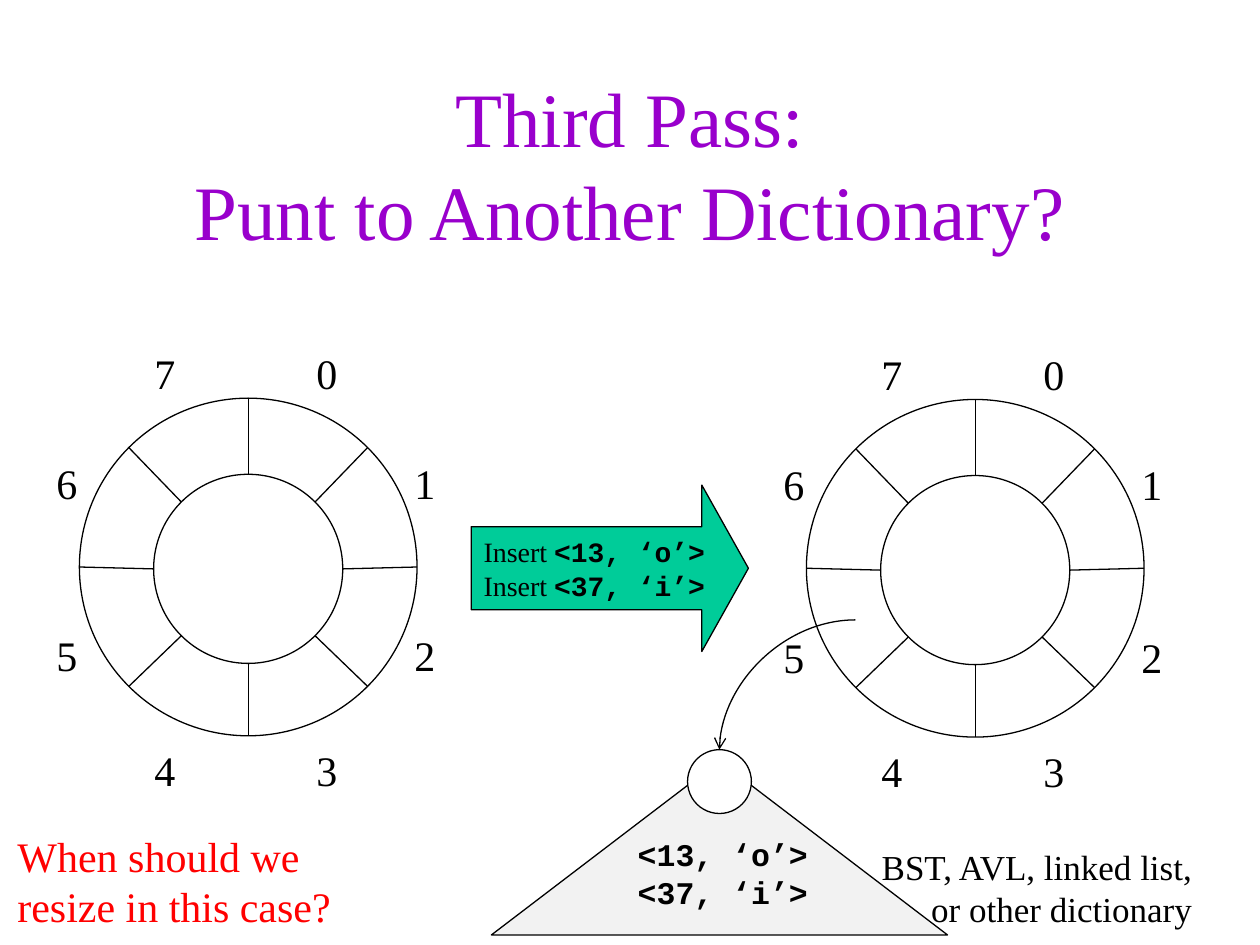
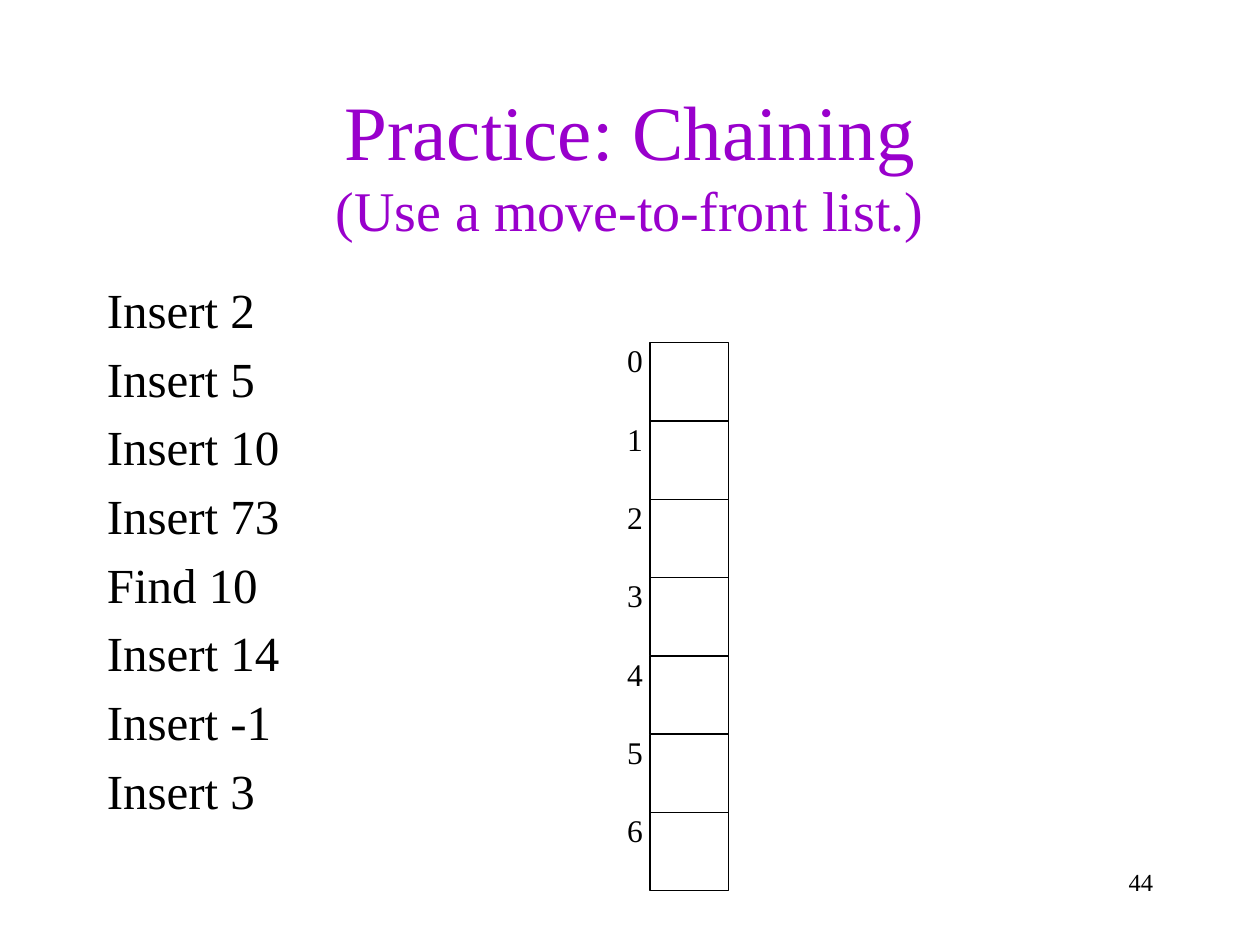
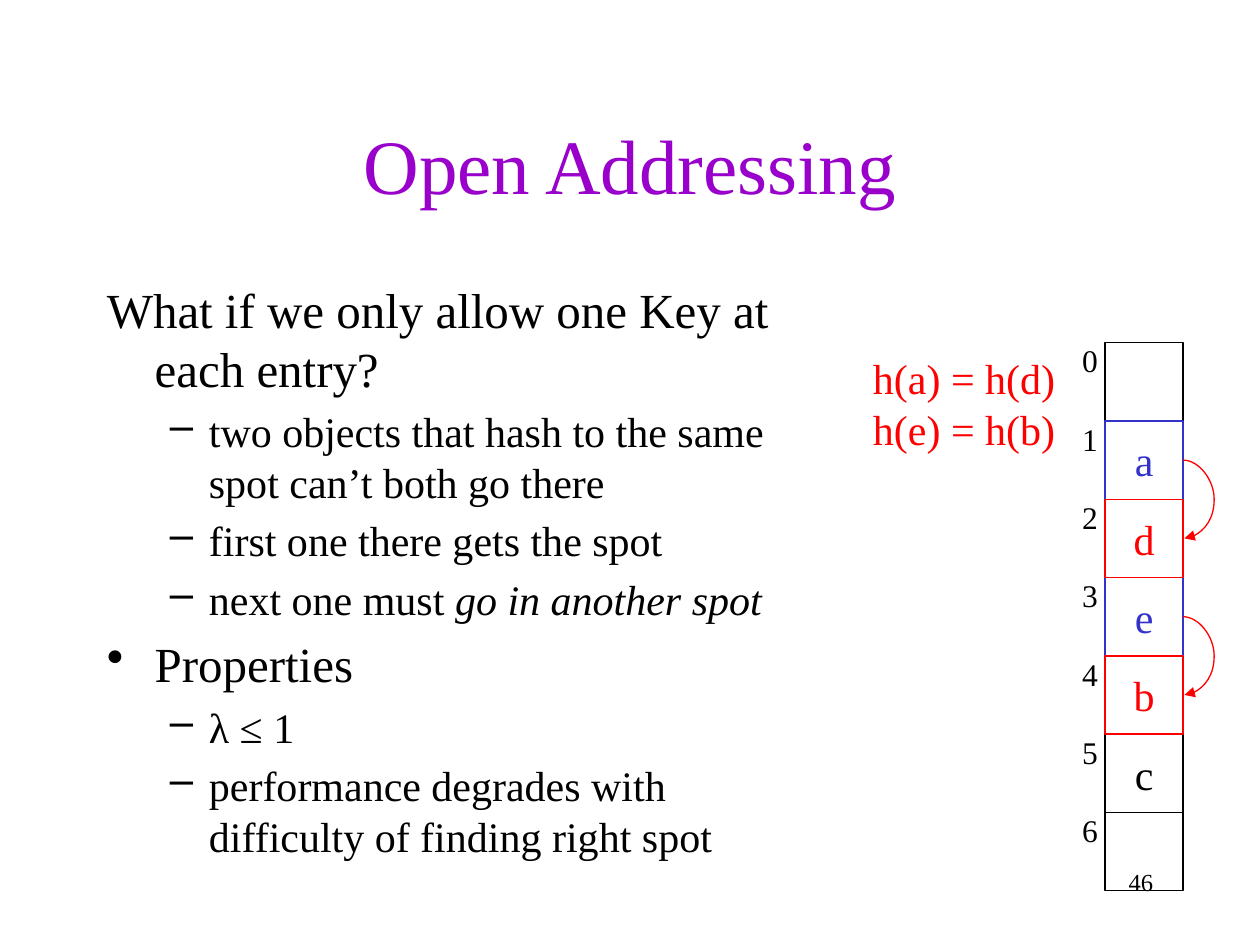
from functools import partial
from math import cos, pi, sin

from lxml import etree
from pptx import Presentation
from pptx.dml.color import RGBColor
from pptx.enum.shapes import MSO_CONNECTOR as LINK, MSO_SHAPE as SHAPE
from pptx.enum.text import MSO_ANCHOR as ANCHOR, MSO_AUTO_SIZE as FIT, PP_ALIGN as ALIGN
from pptx.oxml.ns import qn
from pptx.util import Inches, Pt

SLIDE_W, SLIDE_H = Inches(10), Inches(7.5)
COLUMN, ROW = SLIDE_W / 100, SLIDE_H / 75

PURPLE = RGBColor(0x99, 0x00, 0xCC)
BLACK = RGBColor(0x00, 0x00, 0x00)
WHITE = RGBColor(0xFF, 0xFF, 0xFF)
RED = RGBColor(0xFF, 0x00, 0x00)
BLUE = RGBColor(0x33, 0x33, 0xCC)
GREEN = RGBColor(0x00, 0xCC, 0x99)
GREY = RGBColor(0xF2, 0xF2, 0xF2)

SERIF, MONO = "Times New Roman", "Courier New"
CODE = {"name": MONO, "bold": True}
LABEL = {"word_wrap": False, "auto_size": FIT.SHAPE_TO_FIT_TEXT}
CENTRED = {"vertical_anchor": ANCHOR.MIDDLE, "word_wrap": False}
LEVELS = [
    {"size": 28, "margin": 0.38, "hang": 0.38},
    {"size": 24, "margin": 0.81, "hang": 0.31},
]


def apply(target, formats):
    """Set every format value on the target."""
    for name, value in formats.items():
        setattr(target, name, value)


def place(x, y, w, h):
    """Turn columns and rows into slide lengths."""
    return round(x * COLUMN), round(y * ROW), round(w * COLUMN), round(h * ROW)


def add_runs(paragraph, runs, size, color):
    """Add (text, font formats) runs, breaking lines at newlines."""
    for text, formats in runs:
        for number, line in enumerate(text.split("\n")):
            if number:
                paragraph.add_line_break()
            if line:
                run = paragraph.add_run()
                run.text = line
                apply(run.font, {"name": SERIF, "size": Pt(size), **formats})
                run.font.color.rgb = color


def write(frame, runs, size, color=BLACK, align=ALIGN.LEFT, frame_formats=None):
    """Fill the first paragraph of a frame."""
    apply(frame, {"word_wrap": True, **(frame_formats or {})})
    frame.paragraphs[0].alignment = align
    add_runs(frame.paragraphs[0], runs, size, color)


def add_text(shapes, box, runs, size, color=BLACK, align=ALIGN.LEFT, frame_formats=None):
    """Add a text box."""
    frame = shapes.add_textbox(*place(*box)).text_frame
    write(frame, runs, size, color, align, frame_formats)
    return frame


def add_outlined(shapes, kind, box, fill=None, line=BLACK):
    """Add a thinly outlined preset shape."""
    shape = shapes.add_shape(kind, *place(*box))
    shape.shadow.inherit = False
    if fill is None:
        shape.fill.background()
    else:
        shape.fill.solid()
        shape.fill.fore_color.rgb = fill
    shape.line.color.rgb = line
    shape.line.width = Pt(0.75)
    return shape


def add_link(shapes, kind, start, end, color=BLACK, head=None):
    """Add a thin connector, with an arrowhead if one is named."""
    link = shapes.add_connector(kind, *place(*start, *end))
    link.line.color.rgb = color
    link.line.width = Pt(0.75)
    properties = link.line._get_or_add_ln().getparent()
    etree.SubElement(properties, qn("a:effectLst"))
    if head:
        etree.SubElement(link.line._get_or_add_ln(), qn("a:tailEnd"), type=head)
    return link


def bend(link, preset, **guides):
    """Choose the curve of a connector and its adjustment."""
    geometry = link._element.spPr.find(qn("a:prstGeom"))
    geometry.set("prst", preset)
    adjustments = geometry.find(qn("a:avLst"))
    for name, value in guides.items():
        etree.SubElement(adjustments, qn("a:gd"), name=name, fmla=f"val {value}")


def add_title(slide, runs):
    """Add the slide title."""
    add_text(slide.shapes, (7.5, 6.7, 85, 12.5), runs, 44, PURPLE, ALIGN.CENTER,
             {"vertical_anchor": ANCHOR.MIDDLE})


def add_page_number(slide, number):
    """Add the page number at the bottom right."""
    add_text(slide.shapes, (71.7, 68.3, 20.8, 5), [(str(number), {})], 14, align=ALIGN.RIGHT)


def add_body(slide, items):
    """Add the outline of (level, bullet, runs) items."""
    frame = slide.shapes.add_textbox(*place(7.5, 21.7, 55, 45)).text_frame
    frame.word_wrap = True
    for number, (level, bullet, runs) in enumerate(items):
        paragraph = frame.add_paragraph() if number else frame.paragraphs[0]
        look = LEVELS[level]
        properties = paragraph._p.get_or_add_pPr()
        properties.set("marL", str(Inches(look["margin"])))
        properties.set("indent", str(-Inches(look["hang"])))
        if bullet:
            etree.SubElement(properties, qn("a:buChar"), char=bullet)
        else:
            etree.SubElement(properties, qn("a:buNone"))
        paragraph.space_before = Pt(look["size"] * 0.2 if number else 0)
        add_runs(paragraph, runs, look["size"], BLACK)


def add_ring(slide, box):
    """Draw a circular hash table with eight numbered buckets."""
    left, top, size, _ = box
    shapes = slide.shapes.add_group_shape().shapes
    outer, inner = size / 2, size * 0.28
    center_x, center_y = left + outer, top + outer
    hub_y = center_y + 0.15
    add_outlined(shapes, SHAPE.OVAL, (center_x - inner, hub_y - inner, 2 * inner, 2 * inner))
    add_outlined(shapes, SHAPE.OVAL, box)
    for spoke in range(8):
        across, down = sin(spoke * pi / 4), -cos(spoke * pi / 4)
        add_link(shapes, LINK.STRAIGHT,
                 (center_x + outer * across, center_y + outer * down),
                 (center_x + inner * across, hub_y + inner * down))
    near, far = size * 0.24, size * 0.53
    rows = [-15.4, -6.7, 7, 16.1]
    spots = [*zip([near, far, far, near], rows),
             *zip([-near, -far, -far, -near], reversed(rows))]
    for bucket, (across, down) in enumerate(spots):
        add_text(shapes, (center_x + across - 2, center_y + down - 2.5, 3.7, 5),
                 [(str(bucket), {})], 24, frame_formats=LABEL)


def add_insert_arrow(slide, box):
    """Draw the arrow that carries the insertions."""
    arrow = add_outlined(slide.shapes, SHAPE.RIGHT_ARROW, box, GREEN)
    arrow.adjustments[1] = 0.28
    write(arrow.text_frame,
          [("Insert ", {}), ("<13, ‘o’>\n", CODE), ("Insert ", {}), ("<37, ‘i’>", CODE)],
          16, frame_formats={"vertical_anchor": ANCHOR.MIDDLE})


def add_subtree(slide, box, bucket):
    """Draw the nested dictionary and the pointer from its bucket."""
    left, top, width, height = box
    node = width * 0.14
    add_outlined(slide.shapes, SHAPE.ISOSCELES_TRIANGLE, box, GREY)
    root_left, root_top = left + (width - node) / 2, top - 0.9
    root = add_outlined(slide.shapes, SHAPE.OVAL, (root_left, root_top, node, node), WHITE)
    pointer = add_link(slide.shapes, LINK.CURVE, bucket, (left + width / 2, root_top),
                       head="arrow")
    bend(pointer, "curvedConnector2")
    pointer.end_connect(root, 0)
    add_text(slide.shapes, (left + width * 0.26, top + height * 0.39, 17.9, 7.1),
             [("<13, ‘o’>\n<37, ‘i’>", CODE)], 18, align=ALIGN.CENTER)


def add_slots(slide, box, contents):
    """Draw a numbered column of slots and return them by index."""
    left, top, width, height = box
    pitch = height / len(contents)
    slots = {}
    for index, (key, color) in sorted(enumerate(contents), key=lambda slot: slot[1][1] == RED):
        slot_top = top + index * pitch
        slots[index] = add_outlined(slide.shapes, SHAPE.RECTANGLE,
                                    (left, slot_top, width, pitch), line=color)
        if key:
            write(slots[index].text_frame, [(key, {})], 24, color, ALIGN.CENTER, CENTRED)
        add_text(slide.shapes, (left - 2.8, slot_top - 0.6, 3.3, 4), [(str(index), {})], 18,
                 frame_formats=LABEL)
    return slots


def add_probe(slide, start, end):
    """Draw the curved probe from a taken slot to the next one."""
    probe = add_link(slide.shapes, LINK.CURVE, (0, 0), (1, 1), RED, "triangle")
    probe.begin_connect(start, 3)
    probe.end_connect(end, 3)
    probe.end_x = probe.begin_x + Inches(0.01)
    bend(probe, "curvedConnector3", adj1=2500000)


def build_punt(slide):
    """Build the slide on punting to another dictionary."""
    add_title(slide, [("Third Pass:\nPunt to Another Dictionary?", {})])
    add_ring(slide, (6.3, 31.6, 26.8, 26.8))
    add_insert_arrow(slide, (37.4, 38.5, 22, 13.2))
    add_ring(slide, (64, 31.7, 26.8, 26.8))
    add_subtree(slide, (39, 60.4, 36.2, 13.8), (67.9, 49.2))
    add_text(slide.shapes, (61, 66.6, 34.6, 7.7),
             [("BST, AVL, linked list,\nor other dictionary", {})], 20, align=ALIGN.RIGHT)
    add_text(slide.shapes, (0.4, 65.4, 28.3, 9.1),
             [("When should we resize in this case?", {})], 24, RED)


def build_chaining(slide):
    """Build the chaining exercise."""
    add_title(slide, [("Practice: Chaining\n", {}),
                      ("(Use a move-to-front list.)", {"size": Pt(32)})])
    steps = ["Insert 2", "Insert 5", "Insert 10", "Insert 73",
             "Find 10", "Insert 14", "Insert -1", "Insert 3"]
    add_body(slide, [(0, None, [(step, {})]) for step in steps])
    add_slots(slide, (51.6, 27.2, 6.2, 43.5), [("", BLACK)] * 7)
    add_page_number(slide, 44)


def build_open_addressing(slide):
    """Build the slide on open addressing."""
    add_title(slide, [("Open Addressing", {})])
    add_body(slide, [
        (0, None, [("What if we only allow one Key at each entry?", {})]),
        (1, "–", [("two objects that hash to the same spot can’t both go there", {})]),
        (1, "–", [("first one there gets the spot", {})]),
        (1, "–", [("next one must ", {}), ("go in another spot", {"italic": True})]),
        (0, "•", [("Properties", {})]),
        (1, "–", [("λ ≤ 1", {})]),
        (1, "–", [("performance degrades with difficulty of finding right spot", {})]),
    ])
    slots = add_slots(slide, (87.7, 27.2, 6.2, 43.5),
                      [("", BLACK), ("a", BLUE), ("d", RED), ("e", BLUE),
                       ("b", RED), ("c", BLACK), ("", BLACK)])
    for taken in (1, 3):
        add_probe(slide, slots[taken], slots[taken + 1])
    collisions = add_text(slide.shapes, (68.3, 27.5, 16.5, 9), [("h(a) = h(d)", {})], 24, RED,
                          frame_formats=LABEL)
    add_runs(collisions.add_paragraph(), [("h(e) = h(b)", {})], 24, RED)
    add_page_number(slide, 46)


def main():
    """Build and save the presentation."""
    deck = Presentation()
    apply(deck, {"slide_width": SLIDE_W, "slide_height": SLIDE_H})
    add_slide = partial(deck.slides.add_slide, deck.slide_layouts[6])
    for build in (build_punt, build_chaining, build_open_addressing):
        build(add_slide())
    deck.save("out.pptx")


if __name__ == "__main__":
    main()
